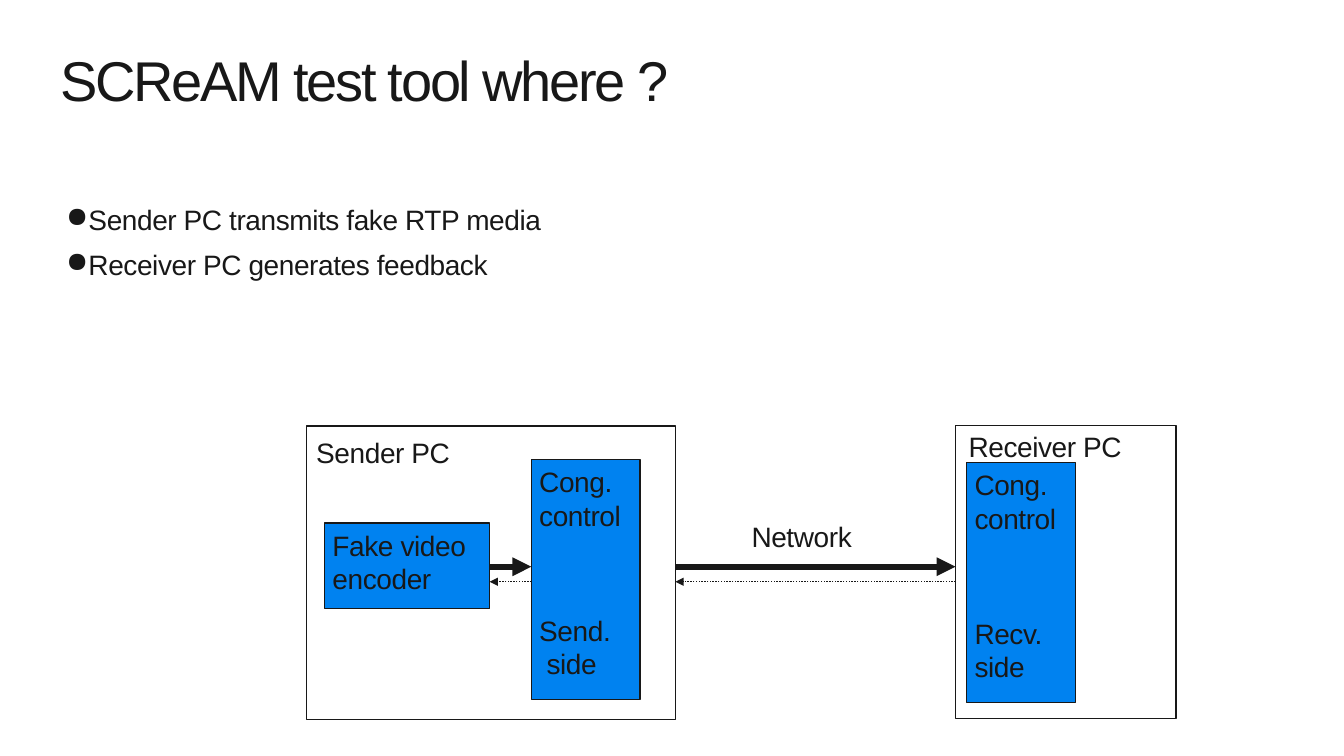
from dataclasses import dataclass
from typing import Any

import lxml.etree
import pptx
import pptx.dml.color
import pptx.enum.dml
import pptx.enum.shapes
import pptx.enum.text
import pptx.oxml
import pptx.oxml.ns
import pptx.util

INK = "181818"
BLUE = "0082F0"
SENDER_LEFT, SENDER_RIGHT = 7.72, 17.02
RECEIVER_LEFT = 24.08
ENCODER_RIGHT = 12.34
CONTROL_LEFT = 13.39
MEDIA_Y, FEEDBACK_Y = 14.28, 14.66


@dataclass(frozen=True)
class Box:
    left: float
    top: float
    width: float
    height: float
    paragraphs: tuple[str, ...] = ()
    fill: str | None = None
    gap: float = 0


@dataclass(frozen=True)
class Caption:
    left: float
    top: float
    width: float
    height: float
    paragraphs: tuple[str, ...]
    size: float = 20
    tracking: int = -30
    line_spacing: float = 1.0
    gap: float = 3
    inset: tuple[float, float] = (0.25, 0.13)
    bullet: str | None = None


@dataclass(frozen=True)
class Flow:
    start: float
    end: float
    y: float
    weight: float
    dotted: bool = False


def rgb(value: str) -> pptx.dml.color.RGBColor:
    return pptx.dml.color.RGBColor.from_string(value)


def apply(target: Any, values: dict[str, Any]) -> None:
    for name, value in values.items():
        setattr(target, name, value)


def add_bullet(paragraph: Any, symbol: str) -> None:
    properties = paragraph._p.get_or_add_pPr()
    hang = pptx.util.Cm(0.5)
    properties.set("marL", str(hang))
    properties.set("indent", str(-hang))
    bullet = lxml.etree.SubElement(properties, pptx.oxml.ns.qn("a:buChar"))
    bullet.set("char", symbol)


def write(frame: Any, paragraphs: tuple[str, ...], inset: tuple[float, float], gap: float,
          size: float = 20, tracking: int = -30, line_spacing: float = 1.0,
          bullet: str | None = None) -> None:
    side, edge = (pptx.util.Cm(value) for value in inset)
    apply(frame, {
        "word_wrap": True,
        "vertical_anchor": pptx.enum.text.MSO_ANCHOR.TOP,
        "margin_left": side,
        "margin_right": side,
        "margin_top": edge,
        "margin_bottom": edge,
    })
    for index, text in enumerate(paragraphs):
        paragraph = frame.add_paragraph() if index else frame.paragraphs[0]
        apply(paragraph, {
            "alignment": pptx.enum.text.PP_ALIGN.LEFT,
            "space_before": pptx.util.Pt(gap),
            "line_spacing": line_spacing,
        })
        if bullet:
            add_bullet(paragraph, bullet)
        for row, words in enumerate(text.split("\n")):
            if row:
                paragraph.add_line_break()
            run = paragraph.add_run()
            run.text = words
            apply(run.font, {"name": "Arial", "size": pptx.util.Pt(size)})
            run.font.color.rgb = rgb(INK)
            run.font._element.set("spc", str(tracking))


def draw_box(slide: Any, box: Box) -> None:
    frame = map(pptx.util.Cm, (box.left, box.top, box.width, box.height))
    shape = slide.shapes.add_shape(pptx.enum.shapes.MSO_SHAPE.RECTANGLE, *frame)
    shape.shadow.inherit = False
    shape.line.color.rgb = rgb(INK)
    shape.line.width = pptx.util.Pt(1)
    if box.fill:
        shape.fill.solid()
        shape.fill.fore_color.rgb = rgb(box.fill)
    else:
        shape.fill.background()
    if box.paragraphs:
        write(shape.text_frame, box.paragraphs, (0.2, 0.13), box.gap)


def draw_caption(slide: Any, caption: Caption) -> None:
    frame = map(pptx.util.Cm, (caption.left, caption.top, caption.width, caption.height))
    shape = slide.shapes.add_textbox(*frame)
    write(shape.text_frame, caption.paragraphs, caption.inset, caption.gap, caption.size,
          caption.tracking, caption.line_spacing, caption.bullet)


def draw_flow(slide: Any, flow: Flow) -> None:
    ends = map(pptx.util.Cm, (flow.start, flow.y, flow.end, flow.y))
    arrow = slide.shapes.add_connector(pptx.enum.shapes.MSO_CONNECTOR.STRAIGHT, *ends)
    arrow.line.color.rgb = rgb(INK)
    arrow.line.width = pptx.util.Pt(flow.weight)
    if flow.dotted:
        arrow.line.dash_style = pptx.enum.dml.MSO_LINE.ROUND_DOT
    head = lxml.etree.SubElement(arrow.line._get_or_add_ln(), pptx.oxml.ns.qn("a:tailEnd"))
    head.set("type", "triangle")
    lxml.etree.SubElement(arrow._element.spPr, pptx.oxml.ns.qn("a:effectLst"))


def control(left: float, top: float, side: str) -> Box:
    return Box(left, top, 2.74, 6.05, ("Cong.\ncontrol", side), BLUE, 58)


BOXES = (
    Box(SENDER_LEFT, 10.74, SENDER_RIGHT - SENDER_LEFT, 7.39),
    Box(RECEIVER_LEFT, 10.72, 5.56, 7.39),
    control(CONTROL_LEFT, 11.58, "Send.\n side"),
    control(24.36, 11.66, "Recv.\nside"),
    Box(8.18, 13.18, ENCODER_RIGHT - 8.18, 2.16, ("Fake video \nencoder",), BLUE),
)

CAPTIONS = (
    Caption(1.32, 1.32, 23.22, 3.0, ("SCReAM test tool where ?",), size=40, tracking=-160,
            line_spacing=0.85, inset=(0.2, 0.1)),
    Caption(1.47, 5.0, 19.13, 3.48,
            ("Sender PC transmits fake RTP media", "Receiver PC generates feedback"),
            gap=8, inset=(0.2, 0.1), bullet="●"),
    Caption(SENDER_LEFT, 10.85, 4.01, 1.12, ("Sender PC",)),
    Caption(24.16, 10.69, 5.08, 1.12, ("Receiver PC",)),
    Caption(18.69, 12.95, 3.4, 1.12, ("Network",)),
)

HOPS = ((SENDER_RIGHT, RECEIVER_LEFT), (ENCODER_RIGHT, CONTROL_LEFT))


def main() -> None:
    presentation = pptx.Presentation()
    apply(presentation, {
        "slide_width": pptx.util.Cm(33.87),
        "slide_height": pptx.util.Cm(19.05),
    })
    slide = presentation.slides.add_slide(presentation.slide_layouts[6])
    for box in BOXES:
        draw_box(slide, box)
    for caption in CAPTIONS:
        draw_caption(slide, caption)
    for near, far in HOPS:
        draw_flow(slide, Flow(near, far, MEDIA_Y, 4.5))
        draw_flow(slide, Flow(far, near, FEEDBACK_Y, 1, dotted=True))
    presentation.save("out.pptx")


if __name__ == "__main__":
    main()
